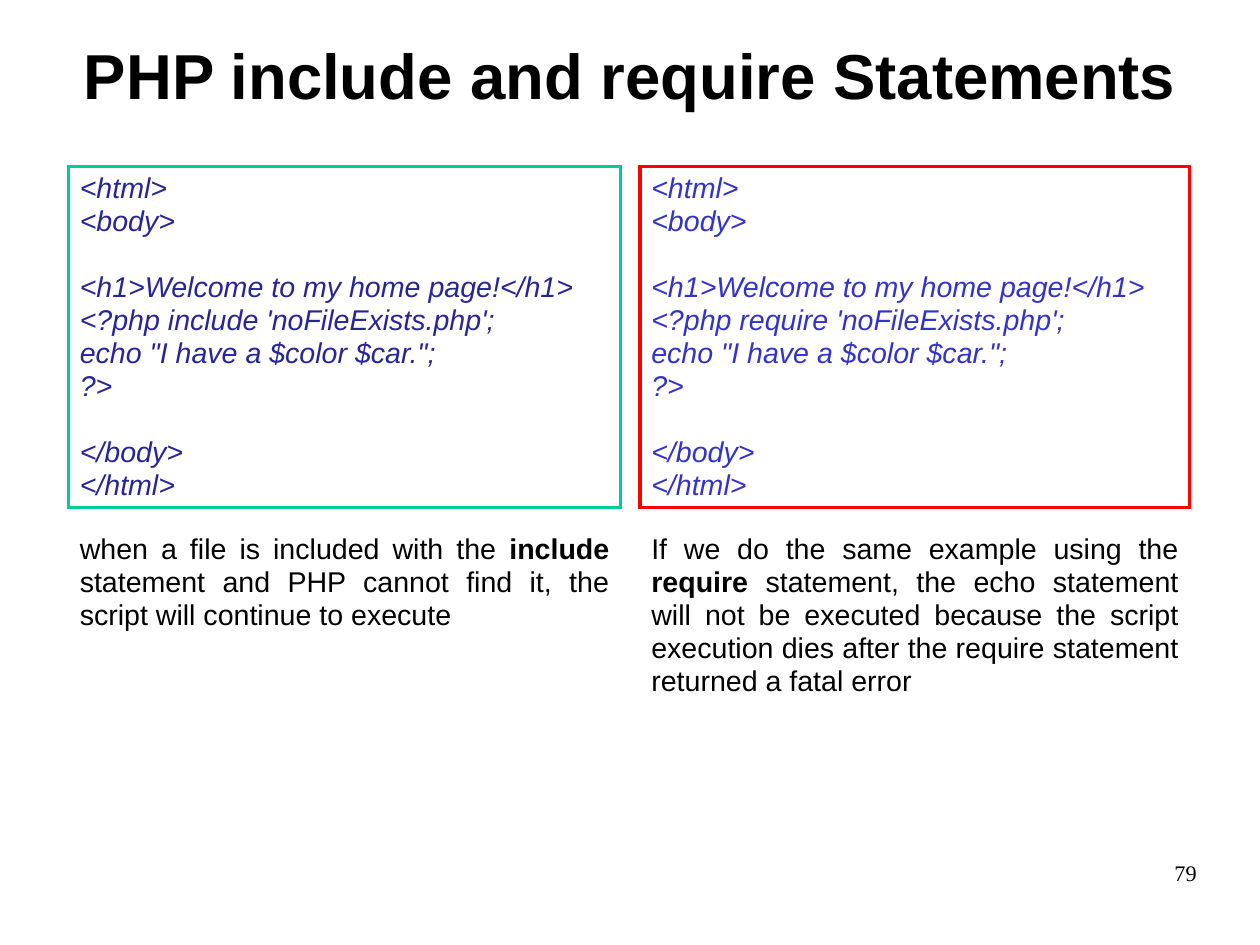
import dataclasses
import typing

import lxml.etree
import pptx
import pptx.dml.color
import pptx.enum.shapes
import pptx.enum.text
import pptx.oxml.ns
import pptx.util

Inches = pptx.util.Inches
Align = pptx.enum.text.PP_ALIGN
Anchor = pptx.enum.text.MSO_ANCHOR
AutoSize = pptx.enum.text.MSO_AUTO_SIZE


@dataclasses.dataclass(frozen=True)
class Theme:
    sans: str = "Arial"
    serif: str = "Times New Roman"
    text: str = "000000"
    background: str = "FFFFFF"
    title_size: int = 40
    body_size: int = 18
    number_size: int = 14
    border_width: int = 2
    line_spacing: float = 0.96


@dataclasses.dataclass(frozen=True)
class Example:
    statement: str
    left: float
    width: float
    note_height: float
    border: str
    code_color: str
    before: str
    after: str


THEME = Theme()
CODE_TOP, CODE_HEIGHT, NOTE_TOP = 1.46, 2.98, 4.62
CODE = """<html>
<body>

<h1>Welcome to my home page!</h1>
<?php {statement} 'noFileExists.php';
echo "I have a $color $car.";
?>

</body>
</html>"""
EXAMPLES = (
    Example("include", 0.6, 4.83, 0.96, "00CC99", "262699",
            "when a file is included with the ",
            " statement and PHP cannot find it, the script will continue to execute"),
    Example("require", 5.6, 4.81, 1.54, "FF0000", "3333CC",
            "If we do the same example using the ",
            " statement, the echo statement will not be executed because the script "
            "execution dies after the require statement returned a fatal error"),
)


def rgb(value: str) -> pptx.dml.color.RGBColor:
    return pptx.dml.color.RGBColor.from_string(value)


def apply_format(target: typing.Any, values: dict[str, typing.Any]) -> None:
    for name, value in values.items():
        setattr(target, name, value)


def format_run(run: typing.Any, size: int, color: str = THEME.text,
               name: str = THEME.sans, bold: bool = False, italic: bool = False) -> None:
    apply_format(run.font, {"size": pptx.util.Pt(size), "name": name,
                            "bold": bold, "italic": italic})
    run.font.color.rgb = rgb(color)


def prepare_text(shape: typing.Any, alignment: Align, **frame_format: typing.Any) -> typing.Any:
    """Format the text frame and return its first paragraph."""
    apply_format(shape.text_frame, {"word_wrap": True, "auto_size": AutoSize.NONE,
                                    "vertical_anchor": Anchor.TOP, **frame_format})
    paragraph = shape.text_frame.paragraphs[0]
    apply_format(paragraph, {"alignment": alignment, "line_spacing": THEME.line_spacing})
    return paragraph


def add_title(slide: typing.Any, text: str) -> None:
    title = slide.shapes.title
    apply_format(title, {"left": Inches(0.55), "top": Inches(0.33),
                         "width": Inches(9.92), "height": Inches(1.38)})
    paragraph = prepare_text(title, Align.CENTER, margin_left=0, margin_right=0,
                             margin_top=Inches(0.03), margin_bottom=0)
    paragraph.text = text
    format_run(paragraph.runs[0], THEME.title_size, bold=True)


def add_code(slide: typing.Any, example: Example) -> None:
    box = slide.shapes.add_shape(
        pptx.enum.shapes.MSO_SHAPE.RECTANGLE, Inches(example.left), Inches(CODE_TOP),
        Inches(example.width), Inches(CODE_HEIGHT))
    box.shadow.inherit = False
    box.fill.solid()
    box.fill.fore_color.rgb = rgb(THEME.background)
    box.line.color.rgb = rgb(example.border)
    box.line.width = pptx.util.Pt(THEME.border_width)
    # Square corners
    outline = box.element.spPr.find(pptx.oxml.ns.qn("a:ln"))
    lxml.etree.SubElement(outline, pptx.oxml.ns.qn("a:miter"), lim="800000")
    paragraph = prepare_text(box, Align.LEFT)
    paragraph.text = CODE.format(statement=example.statement)
    for run in paragraph.runs:
        format_run(run, THEME.body_size, example.code_color, italic=True)


def add_note(slide: typing.Any, example: Example) -> None:
    box = slide.shapes.add_textbox(Inches(example.left), Inches(NOTE_TOP),
                                   Inches(example.width), Inches(example.note_height))
    paragraph = prepare_text(box, Align.JUSTIFY, auto_size=AutoSize.SHAPE_TO_FIT_TEXT)
    for text in (example.before, example.statement, example.after):
        run = paragraph.add_run()
        run.text = text
        format_run(run, THEME.body_size, bold=text == example.statement)


def add_slide_number(slide: typing.Any, number: str) -> None:
    box = slide.shapes.add_textbox(Inches(7.9), Inches(7.53), Inches(2.57), Inches(0.57))
    paragraph = prepare_text(box, Align.RIGHT, margin_left=0, margin_right=0,
                             margin_top=0, margin_bottom=0)
    paragraph.text = number
    format_run(paragraph.runs[0], THEME.number_size, name=THEME.serif)


def main() -> None:
    presentation = pptx.Presentation()
    presentation.slide_width = pptx.util.Cm(28)
    presentation.slide_height = pptx.util.Cm(21)
    slide = presentation.slides.add_slide(presentation.slide_layouts[5])

    # Title
    add_title(slide, "PHP include and require Statements")

    # Code boxes with their explanations below
    for example in EXAMPLES:
        add_code(slide, example)
        add_note(slide, example)

    # Footer
    add_slide_number(slide, "79")
    presentation.save("out.pptx")


if __name__ == "__main__":
    main()
